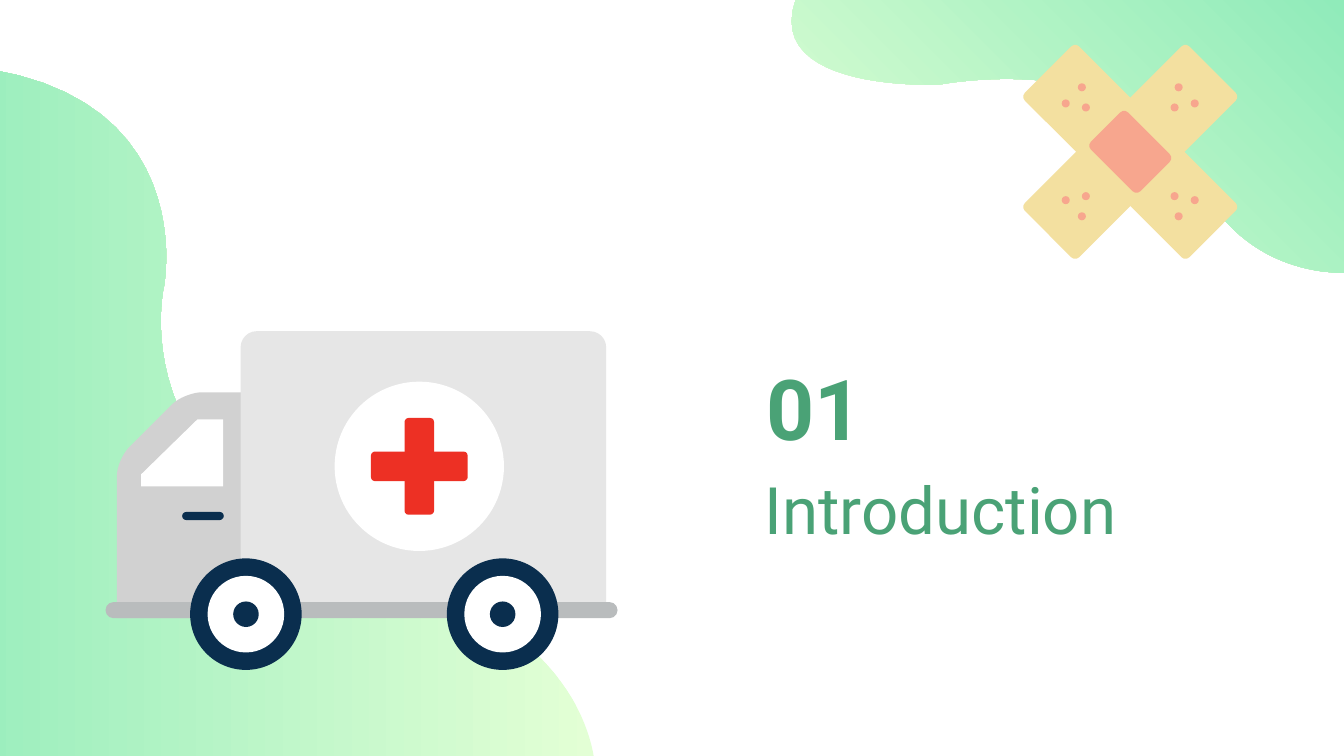
from pptx import Presentation
from pptx.dml.color import RGBColor
from pptx.enum.shapes import MSO_SHAPE
from pptx.enum.text import MSO_ANCHOR, MSO_AUTO_SIZE, PP_ALIGN
from pptx.util import Inches, Pt

OVAL, ROUNDED = MSO_SHAPE.OVAL, MSO_SHAPE.ROUNDED_RECTANGLE
TOP_ROUNDED = MSO_SHAPE.ROUND_2_SAME_RECTANGLE
TOP, LEFT, NO_FIT = MSO_ANCHOR.TOP, PP_ALIGN.LEFT, MSO_AUTO_SIZE.NONE
GREEN = RGBColor(0x4A, 0xA2, 0x76)
PALE_GREEN = RGBColor(0xE3, 0xFF, 0xD5)
MINT = RGBColor(0x90, 0xEB, 0xBA)
SAND = RGBColor(0xF3, 0xE0, 0xA0)
PINK = RGBColor(0xF7, 0xA6, 0x8E)
GREY = RGBColor(0xD1, 0xD1, 0xD1)
LIGHT_GREY = RGBColor(0xE6, 0xE6, 0xE6)
DARK_GREY = RGBColor(0xB9, 0xBC, 0xBD)
NAVY = RGBColor(0x0A, 0x2E, 0x4E)
RED = RGBColor(0xED, 0x30, 0x24)
WHITE = RGBColor(0xFF, 0xFF, 0xFF)

prs = Presentation()
prs.slide_width = Inches(10)
prs.slide_height = Inches(10 * 9 / 16)
s = prs.slides.add_slide(prs.slide_layouts[0])


def add_centred(kind, cx, cy, w, h, color, radius=None, rotation=0):
    sp = s.shapes.add_shape(kind, Inches(cx - w / 2), Inches(cy - h / 2), Inches(w), Inches(h))
    sp.shadow.inherit = False
    sp.fill.solid()
    sp.fill.fore_color.rgb = color
    sp.line.fill.background()
    sp.rotation = rotation
    if radius is not None:
        sp.adjustments[0] = radius / min(w, h)


def add_outline(start, segments, color=None, angle=0):
    points, last = [], start
    for segment in segments:
        if len(segment) == 1:
            points.append(segment[0])
        else:
            a, b, c = segment
            for i in range(1, 25):
                t = i / 24
                u = 1 - t
                points.append([u**3 * last[k] + 3 * u * u * t * a[k] + 3 * u * t * t * b[k] + t**3 * c[k]
                               for k in (0, 1)])
        last = segment[-1]
    builder = s.shapes.build_freeform(Inches(start[0]), Inches(start[1]))
    builder.add_line_segments([(Inches(x), Inches(y)) for x, y in points])
    sp = builder.convert_to_shape()
    sp.shadow.inherit = False
    sp.line.fill.background()
    if color is not None:
        sp.fill.solid()
        sp.fill.fore_color.rgb = color
        return
    sp.fill.gradient()
    sp.fill.gradient_angle = angle
    for stop, rgb, position in zip(sp.fill.gradient_stops, (PALE_GREEN, MINT), (0, 1)):
        stop.color.rgb = rgb
        stop.position = position


add_outline((4.42, 5.64), [
    [(4.36, 5.28), (4.08, 4.62), (2.76, 4.18)],
    [(0.88, 3.56), (1.22, 2.13), (1.22, 2.13)],
    [(1.22, 2.13), (1.56, 0.36), (-0.86, 0.48)],
    [(-0.86, 5.64)]], angle=180)
add_outline((10, 2.03), [
    [(9.69, 2.03), (9.17, 1.91), (8.88, 1.28)],
    [(8.46, 0.34), (6.99, 0.63), (6.99, 0.63)],
    [(6.99, 0.63), (5.68, 0.69), (5.92, 0)],
    [(10, 0)]], angle=45)

title, number = s.placeholders
headings = [
    (title, "Introduction", (5.59, 3.39, 4.37, 0.67), {"size": Pt(35), "bold": False}),
    (number, "01", (5.6, 2.55, 4.37, 1.05), {"size": Pt(45), "bold": True}),
]
for sp, text, box, font in headings:
    sp.left, sp.top, sp.width, sp.height = [Inches(v) for v in box]
    tf = sp.text_frame
    tf.text = text
    frame = {"word_wrap": True, "auto_size": NO_FIT, "vertical_anchor": TOP}
    frame.update({f"margin_{side}": Inches(0.1) for side in ("left", "top", "right", "bottom")})
    for name, value in frame.items():
        setattr(tf, name, value)
    p = tf.paragraphs[0]
    p.alignment = LEFT
    p.line_spacing = 1
    p.space_before = Pt(0)
    r = p.runs[0]
    for name, value in {"name": "Roboto", **font}.items():
        setattr(r.font, name, value)
    r.font.color.rgb = GREEN

cx, cy = 8.41, 1.13
for rotation, flip in ((-45, 1), (45, -1)):
    add_centred(ROUNDED, cx, cy, 1.73, 0.57, SAND, 0.04, rotation)
    add_centred(ROUNDED, cx, cy, 0.52, 0.39, PINK, 0.04, rotation)
    for end in (1, -1):
        for dx, dy in ((0.36, -0.48), (0.48, -0.36), (0.33, -0.33)):
            add_centred(OVAL, cx + end * dx, cy + end * flip * dy, 0.06, 0.06, PINK)

add_outline((1.8, 2.92), [
    [(1.49, 2.92)],
    [(1.45, 2.92), (1.34, 2.95), (1.28, 3.01)],
    [(0.95, 3.34)],
    [(0.91, 3.39), (0.87, 3.47), (0.87, 3.55)],
    [(0.87, 4.6)], [(1.8, 4.6)]], GREY)
add_outline((1.05, 3.62), [[(1.66, 3.62)], [(1.66, 3.12)], [(1.47, 3.12)], [(1.05, 3.53)]], WHITE)
add_centred(ROUNDED, 1.51, 3.84, 0.31, 0.06, NAVY, 0.03)
add_centred(TOP_ROUNDED, 3.15, 3.53, 2.72, 2.13, LIGHT_GREY, 0.12)
add_centred(OVAL, 3.12, 3.47, 1.26, 1.26, WHITE)
for w, h in ((0.72, 0.22), (0.22, 0.72)):
    add_centred(ROUNDED, 3.12, 3.47, w, h, RED, 0.03)
add_centred(ROUNDED, 2.69, 4.54, 3.81, 0.12, DARK_GREY, 0.06)
for wheel_x in (1.83, 3.74):
    for size, color in ((0.83, NAVY), (0.57, WHITE), (0.19, NAVY)):
        add_centred(OVAL, wheel_x, 4.57, size, size, color)

prs.save("out.pptx")
